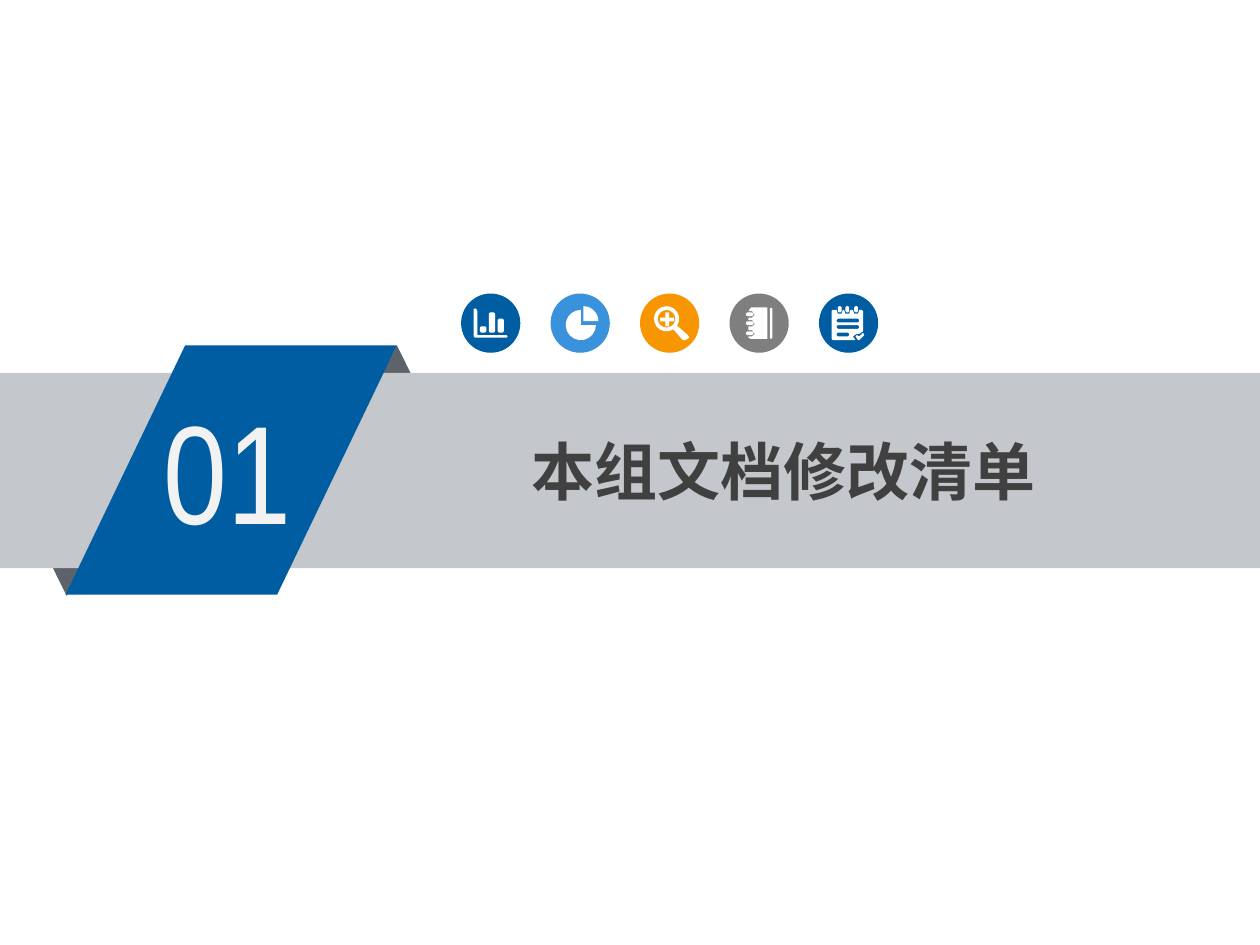
import math

from lxml import etree
from pptx import Presentation
from pptx import util as u
from pptx.dml.color import RGBColor
from pptx.enum import shapes, text
from pptx.oxml import ns

BLUE = RGBColor(0x00, 0x5D, 0xA2)
SKY = RGBColor(0x39, 0x92, 0xDB)
ORANGE = RGBColor(0xF7, 0x96, 0x00)
GRAY = RGBColor(0x7F, 0x7F, 0x7F)
BAND = RGBColor(0xC4, 0xC7, 0xCB)
FOLD = RGBColor(0x5D, 0x63, 0x6A)
WHITE = RGBColor(0xFF, 0xFF, 0xFF)
PALE = RGBColor(0xF2, 0xF2, 0xF2)
DARK = RGBColor(0x40, 0x40, 0x40)

KIND = shapes.MSO_SHAPE
ICON_LEFT, ICON_TOP, ICON_SIZE, ICON_STEP = 3.66, 2.33, 0.47, 0.71


class Deck:
    number_font = "Arial Narrow"
    title_font = "Noto Sans CJK SC"

    def __init__(self, slide):
        self.s = slide

    def paint(self, sp, color):
        sp.shadow.inherit = False
        sp.fill.solid()
        sp.fill.fore_color.rgb = color
        sp.line.fill.background()
        return sp

    def shape(self, kind, x, y, w, h, color, adj=()):
        sp = self.s.shapes.add_shape(kind, *map(u.Inches, (x, y, w, h)))
        for i, value in enumerate(adj):
            sp.adjustments[i] = value
        return self.paint(sp, color)

    def outline(self, contours, x, y, color):
        """One freeform of several closed contours; inner ones become holes."""
        paths = [[(u.Inches(x + px), u.Inches(y + py)) for px, py in c]
                 for c in contours]
        builder = self.s.shapes.build_freeform(*paths[0][0])
        for i, pts in enumerate(paths):
            if i:
                builder.move_to(*pts[0])
            builder.add_line_segments(pts[1:], close=True)
        return self.paint(builder.convert_to_shape(), color)

    def label(self, words, x, y, w, h, size, font, color, bold=False):
        sp = self.s.shapes.add_textbox(*map(u.Inches, (x, y, w, h)))
        tf = sp.text_frame
        tf.word_wrap = True
        tf.auto_size = text.MSO_AUTO_SIZE.SHAPE_TO_FIT_TEXT
        tf.margin_left = tf.margin_right = u.Inches(0.08)
        tf.margin_top = tf.margin_bottom = u.Inches(0.04)
        r = tf.paragraphs[0].add_run()
        r.text = words
        r.font.size = u.Pt(size)
        r.font.name = font
        r.font.bold = bold
        r.font.color.rgb = color
        etree.SubElement(r.font._element, ns.qn("a:ea"), typeface=font)


def bar(x, y, w, h, cut=0.01):
    """Rectangle with its corners cut."""
    r, b = x + w, y + h
    return [(x + cut, y), (r - cut, y), (r, y + cut), (r, b - cut),
            (r - cut, b), (x + cut, b), (x, b - cut), (x, y + cut)]


def arc(cx, cy, radius, start, end, steps):
    """Points along an arc, clockwise from start to end in degrees."""
    angles = [math.radians(start + (end - start) * i / steps)
              for i in range(steps + 1)]
    return [(cx + radius * math.cos(a), cy + radius * math.sin(a))
            for a in angles]


def bar_chart_icon():
    axes = [(0.1, 0.12), (0.12, 0.12), (0.13, 0.14), (0.13, 0.33),
            (0.36, 0.33), (0.37, 0.34), (0.36, 0.35), (0.11, 0.35), (0.1, 0.34)]
    heights = (0.05, 0.16, 0.11)
    return [axes] + [bar(0.15 + 0.07 * i, 0.31 - h, 0.05, h)
                     for i, h in enumerate(heights)]


def pie_icon():
    return [[(0.26, 0.22)] + arc(0.26, 0.22, 0.12, -90, 0, 5),
            [(0.24, 0.25)] + arc(0.24, 0.25, 0.12, 0, 270, 14)]


def magnifier_icon():
    handle = [(0.38, 0.33), (0.39, 0.35), (0.36, 0.37), (0.34, 0.37)]
    plus = [(0.2, 0.15), (0.23, 0.15), (0.23, 0.19), (0.27, 0.19),
            (0.27, 0.22), (0.23, 0.22), (0.23, 0.26), (0.2, 0.26),
            (0.2, 0.22), (0.16, 0.22), (0.16, 0.19), (0.2, 0.19)]
    return [arc(0.21, 0.2, 0.1, 57, 393, 16) + handle,
            arc(0.21, 0.2, 0.07, 360, 0, 16), plus]


def notebook_icon():
    rows = (0.14, 0.21, 0.29)
    page = [(0.17, 0.11), (0.3, 0.11), (0.3, 0.36), (0.17, 0.36), (0.15, 0.35)]
    for y in reversed(rows):
        page += [(0.15, y + 0.05), (0.18, y + 0.05), (0.2, y + 0.03),
                 (0.18, y), (0.15, y)]
    spine = bar(0.32, 0.11, 0.02, 0.25)
    return [page, spine] + [bar(0.13, y + 0.01, 0.06, 0.03) for y in rows]


def notepad_icon():
    columns = (0.14, 0.2, 0.27)
    page = [(0.1, 0.14), (0.11, 0.13)]
    for x in columns:
        page += [(x, 0.13), (x + 0.01, 0.16), (x + 0.04, 0.16), (x + 0.05, 0.13)]
    page += [(0.34, 0.13), (0.35, 0.14), (0.35, 0.3), (0.32, 0.32),
             (0.3, 0.32), (0.27, 0.34), (0.29, 0.37), (0.11, 0.37), (0.1, 0.36)]
    tick = [(0.29, 0.34), (0.3, 0.33), (0.32, 0.34), (0.35, 0.31),
            (0.36, 0.33), (0.32, 0.37), (0.31, 0.37)]
    lines = [bar(0.14, y, w, 0.03)[::-1]
             for y, w in ((0.2, 0.18), (0.25, 0.18), (0.31, 0.1))]
    rings = [bar(x + 0.01, 0.1, 0.03, 0.05) for x in columns]
    return [page, tick] + lines + rings


def main():
    prs = Presentation()
    prs.slide_width, prs.slide_height = u.Inches(10), u.Inches(7.5)
    d = Deck(prs.slides.add_slide(prs.slide_layouts[6]))

    d.shape(KIND.ISOSCELES_TRIANGLE, 2.7, 2.74, 0.9, 0.91, FOLD)
    lower_fold = d.shape(KIND.ISOSCELES_TRIANGLE, 0.08, 3.82, 0.9, 0.91, FOLD)
    lower_fold._element.spPr.xfrm.set("flipV", "1")
    d.shape(KIND.RECTANGLE, 0, 2.96, 10, 1.55, BAND)
    d.shape(KIND.PARALLELOGRAM, 0.52, 2.74, 2.63, 1.98, BLUE, [0.48])
    d.label("01", 1.22, 3.01, 1.45, 1.42, 80, d.number_font, PALE)
    d.label("本组文档修改清单", 4.14, 3.39, 4.7, 0.68, 36, d.title_font, DARK, True)

    icons = ((bar_chart_icon, BLUE), (pie_icon, SKY), (magnifier_icon, ORANGE),
             (notebook_icon, GRAY), (notepad_icon, BLUE))
    for i, (icon, color) in enumerate(icons):
        x = ICON_LEFT + ICON_STEP * i
        d.shape(KIND.OVAL, x, ICON_TOP, ICON_SIZE, ICON_SIZE, color)
        d.outline(icon(), x, ICON_TOP, WHITE)

    prs.save("out.pptx")


if __name__ == "__main__":
    main()
